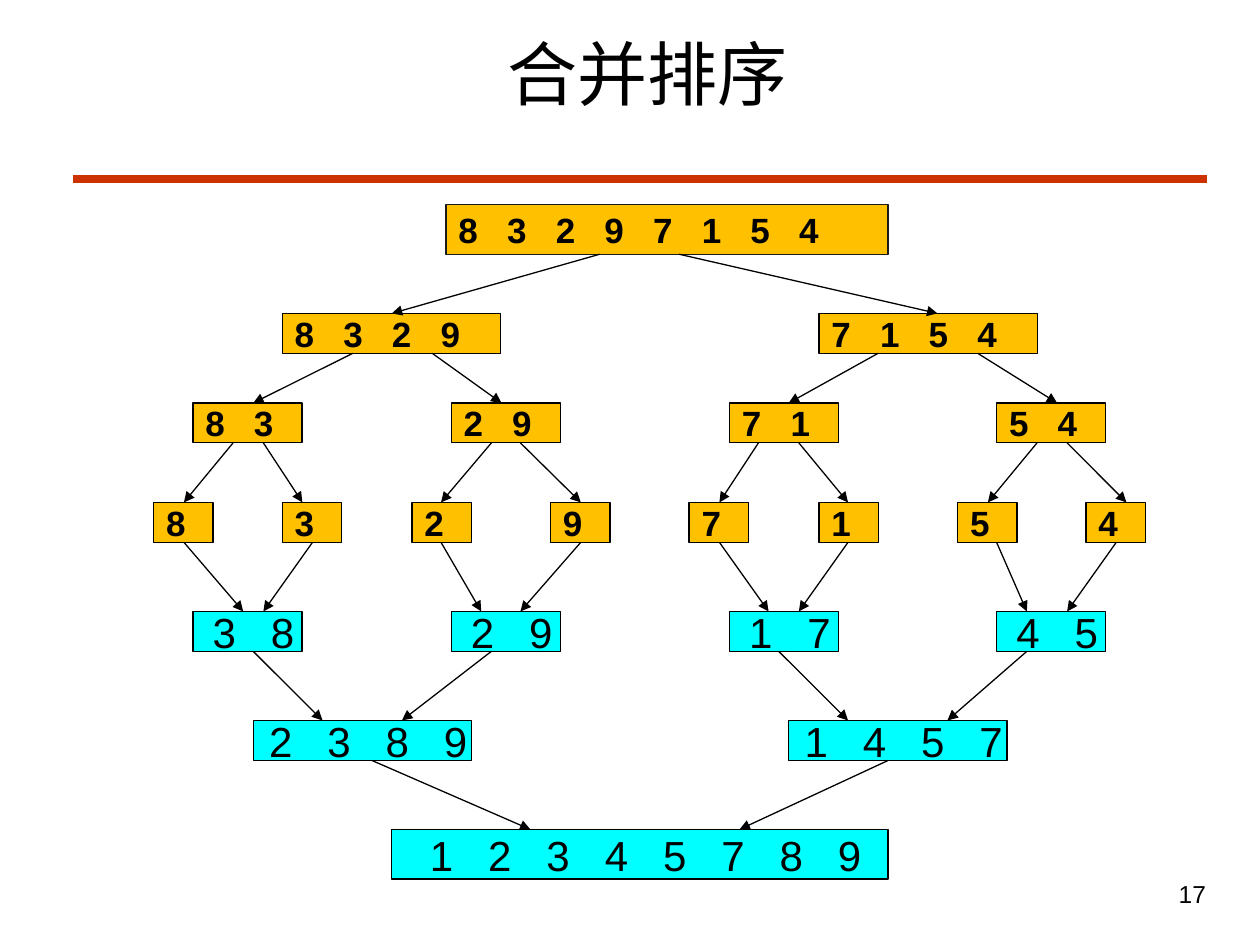
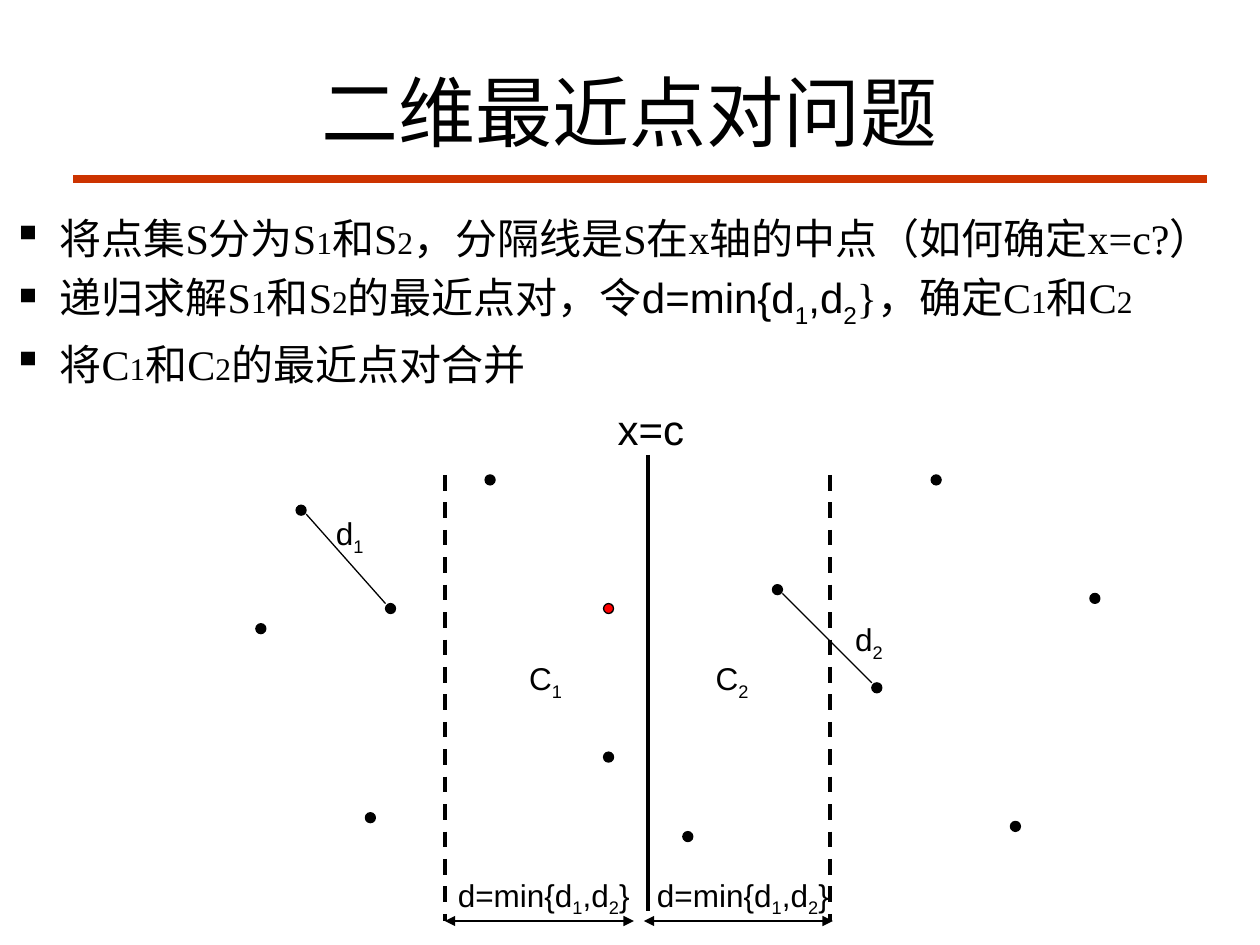
from dataclasses import dataclass
from typing import NamedTuple

from lxml.etree import SubElement
from pptx import Presentation
from pptx.dml.color import RGBColor
from pptx.enum.dml import MSO_LINE
from pptx.enum.shapes import MSO_CONNECTOR, MSO_SHAPE
from pptx.enum.text import MSO_ANCHOR, PP_ALIGN
from pptx.oxml.ns import qn
from pptx.util import Pt

BLACK = RGBColor(0x00, 0x00, 0x00)
EDGE = RGBColor(0x1A, 0x1A, 0x1A)
RULE = RGBColor(0xCC, 0x33, 0x00)
AMBER = RGBColor(0xFF, 0xC0, 0x00)
CYAN = RGBColor(0x00, 0xFF, 0xFF)
RED = RGBColor(0xFF, 0x00, 0x00)

SANS = "Arial"
SERIF = "Times New Roman"


class Style(NamedTuple):
    font: dict
    baseline: int = 0
    spacing: int = 0


class Run(NamedTuple):
    text: str
    style: Style


class Box(NamedTuple):
    left: float
    top: float
    width: float
    height: float


@dataclass
class Row:
    """One level of the sorting tree; arrows are x at this row and x at the next."""
    top: float
    height: float
    width: float
    boxes: list[tuple[float, str]]
    arrows: list[tuple[float, float]]
    merged: bool = False
    edge: RGBColor = BLACK


class Label(NamedTuple):
    box: Box
    text: str
    size: int = 18
    wrap: bool = False


BODY = Style({"name": SERIF, "size": Pt(24)})
BODY_SMALL = Style({"name": SERIF, "size": Pt(18)})
FORMULA = Style({"name": SANS, "size": Pt(24)})
FORMULA_SUB = FORMULA._replace(baseline=-25000)

SPLIT_STYLE = {"name": SANS, "size": Pt(20), "bold": True}
MERGE_STYLE = {"name": SANS, "size": Pt(24)}

ROWS = [
    Row(116.9, 28.4, 252.6, [(254.9, "83297154")],
        [(342.7, 223.9), (388.1, 535.7)], edge=EDGE),
    Row(179.1, 22.8, 124.7, [(161.3, "8329"), (468, "7154")],
        [(201.6, 144.7), (247, 286.6), (501.8, 450.7), (558.7, 604.1)]),
    Row(230.3, 22.8, 62.4, [(110.2, "83"), (257.8, "29"), (416.9, "71"), (569.5, "54")],
        [(133.2, 105.1), (150.5, 172.8), (280.8, 252), (297.4, 331.9),
         (433.4, 411.1), (456.5, 484.6), (592.6, 564.5), (609.8, 643.7)]),
    Row(287.1, 22.8, 34, [(87.8, "8"), (161.3, "3"), (235.4, "2"), (314.6, "9"),
                          (393.8, "7"), (468, "1"), (547.2, "5"), (620.6, "4")],
        [(105.1, 139), (178.6, 150.5), (252, 275), (331.9, 297.4),
         (411.1, 439.2), (484.6, 456.5), (569.5, 586.8), (637.9, 609.8)]),
    Row(349.4, 22.8, 62.4, [(110.2, "38"), (257.8, "29"), (416.9, "17"), (569.5, "45")],
        [(144.7, 184.3), (280.8, 229.7), (445, 484.6), (586.8, 541.4)], merged=True),
    Row(411.7, 22.8, 124.7, [(144.7, "2389"), (450.7, "1457")],
        [(212.4, 303.1), (507.6, 422.6)], merged=True),
    Row(474, 28.4, 283.5, [(223.9, "12345789")], [], merged=True),
]

DOT = 5.7
DOTS = [(220.3, 344.9), (277.2, 271.4), (169.2, 288.7), (344.9, 429.8),
        (146.2, 356.4), (208.8, 464.4), (390.2, 475.2), (441.4, 334.1),
        (532.1, 271.4), (498.2, 390.2), (577.4, 469.4), (622.8, 339.1)]
CLOSE_DOT = (344.9, 344.9)
PAIRS = [(175, 293.8, 220.3, 344.9), (447.1, 339.1, 498.2, 390.2)]
STRIP_EDGES = [254.2, 474.5]
STRIP_WIDTHS = [(254.2, 362.2), (367.9, 475.9)]
STRIP_BOTTOM = 526.3

LABELS = [
    Label(Box(345.6, 226.8, 52.6, 36), "x=c", size=24),
    Label(Box(184.3, 290.2, 31, 28.8), "d|1"),
    Label(Box(481, 350.6, 31, 28.8), "d|2"),
    Label(Box(248.4, 496.8, 124.6, 28.8), "d=min{d|1|,d|2|}", wrap=True),
    Label(Box(362.2, 496.8, 124.6, 28.8), "d=min{d|1|,d|2|}", wrap=True),
    Label(Box(289.4, 373, 44.6, 28.8), "C|1", wrap=True),
    Label(Box(396, 373, 44.6, 28.8), "C|2", wrap=True),
]


def mixed(text: str, base: Style, index: Style) -> list[Run]:
    """Split at bars; every second piece takes the index style."""
    return [Run(piece, (base, index)[i % 2]) for i, piece in enumerate(text.split("|"))]


BULLETS = [
    mixed("将点集S分为S|1|和S|2|，分隔线是S在x轴的中点（如何确定x=c?）", BODY, BODY_SMALL),
    mixed("递归求解S|1|和S|2|的最近点对，令", BODY, BODY_SMALL)
    + mixed("d=min{d|1|,d|2", FORMULA, FORMULA_SUB)
    + mixed("}，确定C|1|和C|2", BODY, BODY_SMALL),
    mixed("将C|1|和C|2|的最近点对合并", BODY, BODY_SMALL),
]


def add_runs(p, runs: list[Run]) -> None:
    for run in runs:
        r = p.add_run()
        r.text = run.text
        for key, value in run.style.font.items():
            setattr(r.font, key, value)
        r.font.color.rgb = BLACK
        rPr = r.font._element
        for key, value in (("baseline", run.style.baseline), ("spc", run.style.spacing)):
            if value:
                rPr.set(key, str(value))


def add_text(slide, box: Box, runs: list[Run], align=PP_ALIGN.CENTER,
             anchor=MSO_ANCHOR.TOP, wrap: bool = True):
    tf = slide.shapes.add_textbox(*map(Pt, box)).text_frame
    tf.word_wrap = wrap
    tf.vertical_anchor = anchor
    p = tf.paragraphs[0]
    p.alignment = align
    add_runs(p, runs)
    return tf


def add_line(slide, x1: float, y1: float, x2: float, y2: float, width: float = 0.75,
             color: RGBColor = BLACK, dash=None, arrows: tuple[str, ...] = ()) -> None:
    """Draw a straight line; arrows names the ends (headEnd, tailEnd) with a triangle."""
    sp = slide.shapes.add_connector(MSO_CONNECTOR.STRAIGHT, Pt(x1), Pt(y1), Pt(x2), Pt(y2))
    sp.line.width = Pt(width)
    sp.line.color.rgb = color
    if dash:
        sp.line.dash_style = dash
    for end in arrows:
        SubElement(sp.line._get_or_add_ln(), qn(f"a:{end}"), type="triangle")
    SubElement(sp._element.spPr, qn("a:effectLst"))


def add_filled(slide, kind, box: Box, fill: RGBColor, edge: RGBColor = BLACK):
    sp = slide.shapes.add_shape(kind, *map(Pt, box))
    sp.shadow.inherit = False
    sp.fill.solid()
    sp.fill.fore_color.rgb = fill
    sp.line.color.rgb = edge
    sp.line.width = Pt(0.75)
    return sp


def add_titled_slide(prs, title: str, box: Box, size: int):
    slide = prs.slides.add_slide(prs.slide_layouts[6])
    add_line(slide, 41.8, 102.2, 689.8, 102.2, width=4.5, color=RULE)
    style = Style({"name": SERIF, "size": Pt(size)})
    add_text(slide, box, [Run(title, style)], anchor=MSO_ANCHOR.MIDDLE)
    return slide


def add_numbers(slide, row: Row, left: float, digits: str) -> None:
    font = MERGE_STYLE if row.merged else SPLIT_STYLE
    spread = font["size"].pt * 0.278
    sp = add_filled(slide, MSO_SHAPE.RECTANGLE, Box(left, row.top, row.width, row.height),
                    CYAN if row.merged else AMBER, row.edge)
    tf = sp.text_frame
    tf.word_wrap = False
    tf.vertical_anchor = MSO_ANCHOR.MIDDLE
    if row.merged:
        tf.margin_left = Pt(7.2 + spread)
    p = tf.paragraphs[0]
    p.alignment = PP_ALIGN.CENTER if row.merged else PP_ALIGN.LEFT
    add_runs(p, [Run(" ".join(digits), Style(font, spacing=round(spread * 100)))])


def build_merge_sort(prs) -> None:
    slide = add_titled_slide(prs, "合并排序", Box(33.8, 12.2, 672.5, 58.3), 40)
    number = Style({"name": SANS, "size": Pt(14)})
    add_text(slide, Box(649.4, 499, 46.8, 37.4), [Run("17", number)], PP_ALIGN.RIGHT)
    for row in ROWS:
        for left, digits in row.boxes:
            add_numbers(slide, row, left, digits)
    for row, following in zip(ROWS, ROWS[1:]):
        for start, end in row.arrows:
            add_line(slide, start, row.top + row.height, end, following.top,
                     arrows=("tailEnd",))


def add_bullets(slide) -> None:
    tf = add_text(slide, Box(0, 118.1, 707.8, 324), [], PP_ALIGN.LEFT)
    for i, runs in enumerate(BULLETS):
        p = tf.add_paragraph() if i else tf.paragraphs[0]
        p.space_before = Pt(5)
        pPr = p._p.get_or_add_pPr()
        pPr.set("marL", str(Pt(27)))
        pPr.set("indent", str(-Pt(27)))
        SubElement(pPr, qn("a:buChar"), char="▪")
        add_runs(p, runs)


def build_closest_pair(prs) -> None:
    slide = add_titled_slide(prs, "二维最近点对问题", Box(54, 18, 612, 90), 44)
    add_bullets(slide)
    for x in STRIP_EDGES:
        add_line(slide, x, 271.4, x, STRIP_BOTTOM, width=2.25, dash=MSO_LINE.DASH)
    for x, y in DOTS:
        add_filled(slide, MSO_SHAPE.OVAL, Box(x, y, DOT, DOT), BLACK)
    add_filled(slide, MSO_SHAPE.OVAL, Box(*CLOSE_DOT, DOT, DOT), RED)
    add_line(slide, 370.1, 259.9, 370.1, 520.6, width=2.25)
    for pair in PAIRS:
        add_line(slide, *pair)
    for start, end in STRIP_WIDTHS:
        add_line(slide, start, STRIP_BOTTOM, end, STRIP_BOTTOM, width=1.5,
                 arrows=("headEnd", "tailEnd"))
    for label in LABELS:
        base = Style({"name": SANS, "size": Pt(label.size)})
        runs = mixed(label.text, base, base._replace(baseline=-25000))
        add_text(slide, label.box, runs, wrap=label.wrap)


def main() -> None:
    prs = Presentation()
    prs.slide_width, prs.slide_height = Pt(720), Pt(540)
    build_merge_sort(prs)
    build_closest_pair(prs)
    prs.save("out.pptx")


if __name__ == "__main__":
    main()
